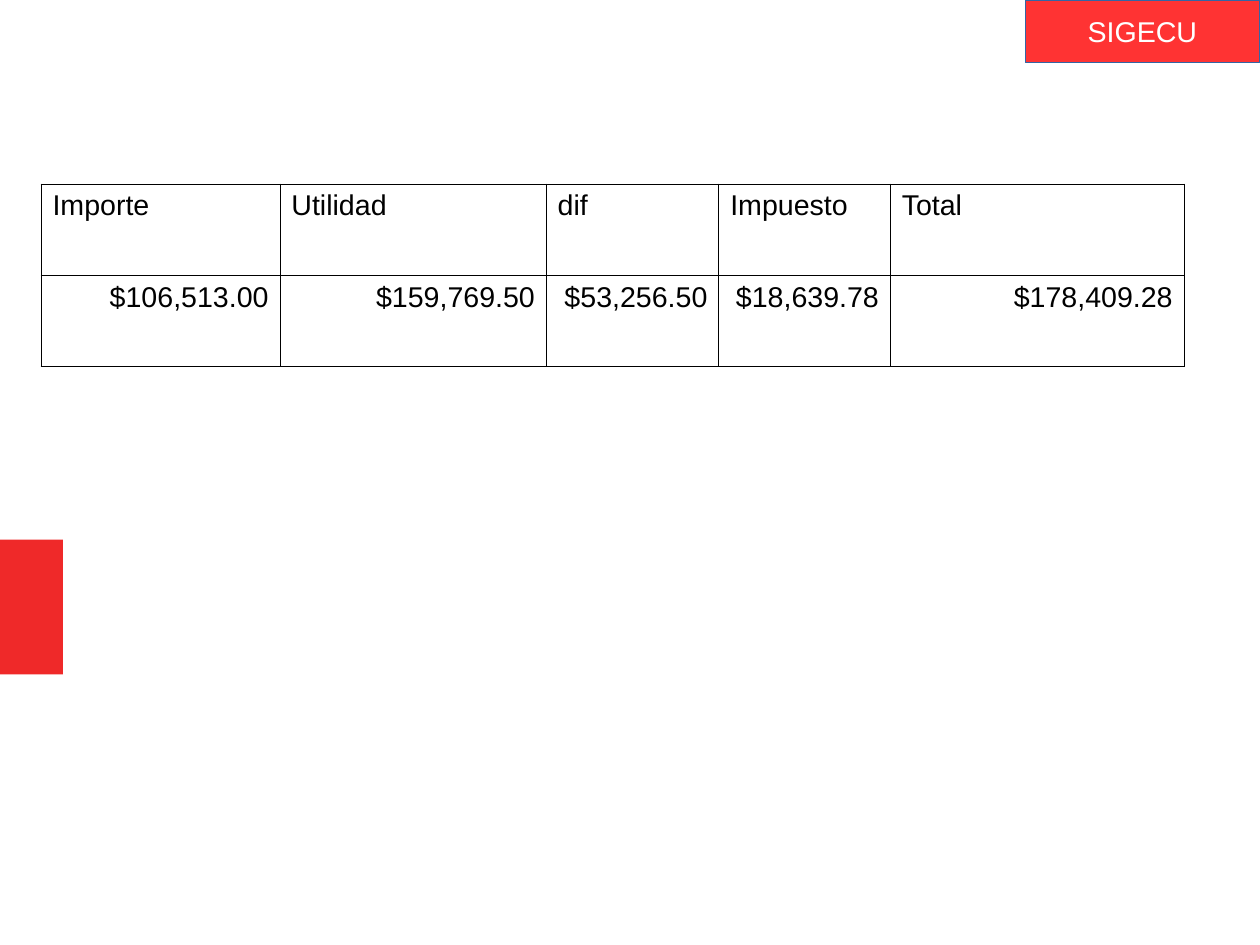
import pptx
import pptx.util
import pptx.dml.color
import pptx.enum.shapes
import pptx.enum.text
import lxml.etree
from dataclasses import dataclass
from pptx.util import Inches


@dataclass(frozen=True)
class Theme:
    font: str = "Arial"
    size: int = 18
    ink: str = "000000"
    light: str = "FFFFFF"
    tab: str = "EF2929"
    badge: str = "FF3333"
    edge: str = "3465A4"
    rule: float = 0.57


theme = Theme()
rgb = pptx.dml.color.RGBColor.from_string
align = pptx.enum.text.PP_ALIGN


def add_rect(left, top, width, height, color):
    rect = slide.shapes.add_shape(
        pptx.enum.shapes.MSO_SHAPE.RECTANGLE,
        Inches(left), Inches(top), Inches(width), Inches(height))
    rect.shadow.inherit = False
    rect.fill.solid()
    rect.fill.fore_color.rgb = rgb(color)
    rect.line.fill.background()
    return rect


def set_text(frame, text, color, side):
    frame.text = text
    para = frame.paragraphs[0]
    para.alignment = side
    para.font.name = theme.font
    para.font.size = pptx.util.Pt(theme.size)
    para.font.color.rgb = rgb(color)


# The page is 28 by 21 cm
deck = pptx.Presentation()
deck.slide_width = Inches(28 / 2.54)
deck.slide_height = Inches(21 / 2.54)
slide = deck.slides.add_slide(deck.slide_layouts[6])

add_rect(0, 4.72, 0.55, 1.18, theme.tab)

# Table of amounts
rows = [
    (align.LEFT, ["Importe", "Utilidad", "dif", "Impuesto", "Total"]),
    (align.RIGHT, ["$106,513.00", "$159,769.50", "$53,256.50",
                   "$18,639.78", "$178,409.28"]),
]
widths = [2.09, 2.33, 1.51, 1.5, 2.57]
table = slide.shapes.add_table(
    len(rows), len(widths), Inches(0.36), Inches(1.61),
    Inches(sum(widths)), Inches(0.8 * len(rows))).table
table.first_row = table.horz_banding = False
for column, width in zip(table.columns, widths):
    column.width = Inches(width)

ns = "{http://schemas.openxmlformats.org/drawingml/2006/main}"
for row, (side, texts) in enumerate(rows):
    for col, text in enumerate(texts):
        cell = table.cell(row, col)
        set_text(cell.text_frame, text, theme.ink, side)
        cell.fill.background()
        props = cell._tc.get_or_add_tcPr()
        for spot, edge in enumerate(["lnL", "lnR", "lnT", "lnB"]):
            line = lxml.etree.Element(
                ns + edge, w=str(pptx.util.Pt(theme.rule)))
            fill = lxml.etree.SubElement(line, ns + "solidFill")
            lxml.etree.SubElement(fill, ns + "srgbClr", val=theme.ink)
            props.insert(spot, line)

# Badge in the top right corner
badge = add_rect(8.97, 0, 2.05, 0.55, theme.badge)
badge.line.color.rgb = rgb(theme.edge)
badge.line.width = 0
badge.text_frame.word_wrap = False
badge.text_frame.vertical_anchor = pptx.enum.text.MSO_ANCHOR.MIDDLE
set_text(badge.text_frame, "SIGECU", theme.light, align.CENTER)

deck.save("out.pptx")
